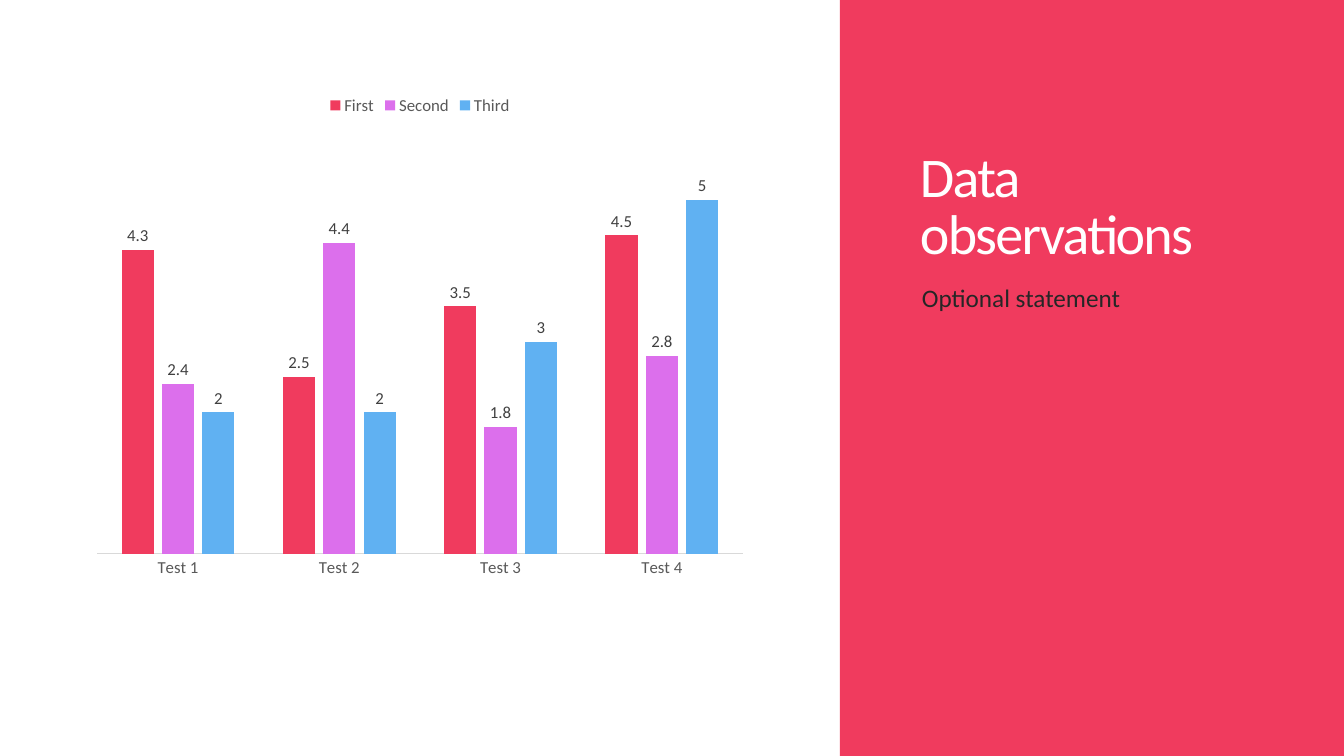
from pptx import Presentation
from pptx.chart.data import CategoryChartData
from pptx.dml.color import RGBColor
from pptx.enum.chart import XL_CHART_TYPE, XL_LABEL_POSITION, XL_LEGEND_POSITION, XL_TICK_MARK
from pptx.enum.shapes import MSO_SHAPE
from pptx.enum.text import MSO_ANCHOR
from pptx.util import Pt

CLUSTERED = XL_CHART_TYPE.COLUMN_CLUSTERED
OUTSIDE_END = XL_LABEL_POSITION.OUTSIDE_END
LEGEND_TOP = XL_LEGEND_POSITION.TOP
NO_TICK = XL_TICK_MARK.NONE
RECTANGLE = MSO_SHAPE.RECTANGLE
TOP, BOTTOM = MSO_ANCHOR.TOP, MSO_ANCHOR.BOTTOM

PIXEL = 914400 / 100.8
FONT = "Calibri"
COLORS = {
    "white": "FFFFFF",
    "red": "F03B5E",
    "purple": "DC6FEC",
    "blue": "60B1F2",
    "statement": "262626",
    "value": "404040",
    "label": "595959",
    "axis": "D9D9D9",
}

presentation = Presentation()
presentation.slide_width = round(1344 * PIXEL)
presentation.slide_height = round(756 * PIXEL)
slide = presentation.slides.add_slide(presentation.slide_layouts[6])


def style_font(font, size, color):
    font.name = FONT
    font.size = Pt(size)
    font.color.rgb = RGBColor.from_string(COLORS[color])


def add_text(text, box, size, color, anchor=TOP, line_spacing=1.0, space_before=0, tracking=0):
    shape = slide.shapes.add_textbox(*[round(length * PIXEL) for length in box])
    frame = shape.text_frame
    frame.word_wrap = True
    frame.vertical_anchor = anchor
    paragraph = frame.paragraphs[0]
    paragraph.line_spacing = line_spacing
    paragraph.space_before = Pt(space_before)
    run = paragraph.add_run()
    run.text = text
    style_font(run.font, size, color)
    if tracking:
        run.font._element.set("spc", str(round(tracking * 100)))


panel = slide.shapes.add_shape(RECTANGLE, *[round(length * PIXEL) for length in (840, 0, 504, 756)])
panel.shadow.inherit = False
panel.fill.solid()
panel.fill.fore_color.rgb = RGBColor.from_string(COLORS["red"])
panel.line.fill.background()

add_text("Data observations", (910, 59, 373, 212), 40, "white",
         anchor=BOTTOM, line_spacing=0.85, tracking=-1.2)
add_text("Optional statement", (912, 277, 375, 345), 18, "statement", space_before=12)

test_results = [
    ("First", "red", (4.3, 2.5, 3.5, 4.5)),
    ("Second", "purple", (2.4, 4.4, 1.8, 2.8)),
    ("Third", "blue", (2, 2, 3, 5)),
]
chart_data = CategoryChartData()
chart_data.categories = [f"Test {number}" for number in range(1, 5)]
for name, color, values in test_results:
    chart_data.add_series(name, values)

chart_box = [round(length * PIXEL) for length in (84, 84, 672, 504)]
chart = slide.shapes.add_chart(CLUSTERED, *chart_box, chart_data).chart
chart.has_title = False
chart.font.name = FONT
chart.font.size = Pt(10)

chart.has_legend = True
chart.legend.position = LEGEND_TOP
chart.legend.include_in_layout = False
style_font(chart.legend.font, 12, "label")

category_axis = chart.category_axis
category_axis.major_tick_mark = NO_TICK
category_axis.format.line.color.rgb = RGBColor.from_string(COLORS["axis"])
category_axis.format.line.width = Pt(0.75)
style_font(category_axis.tick_labels.font, 12, "label")

value_axis = chart.value_axis
value_axis.visible = False
value_axis.has_major_gridlines = False
value_axis.minimum_scale = 0
value_axis.maximum_scale = 6

plot = chart.plots[0]
plot.vary_by_categories = False
plot.gap_width = 150
plot.overlap = -25
for series, (name, color, values) in zip(plot.series, test_results):
    series.format.fill.solid()
    series.format.fill.fore_color.rgb = RGBColor.from_string(COLORS[color])
    labels = series.data_labels
    labels.show_value = True
    labels.position = OUTSIDE_END
    style_font(labels.font, 12, "value")

presentation.save("out.pptx")
